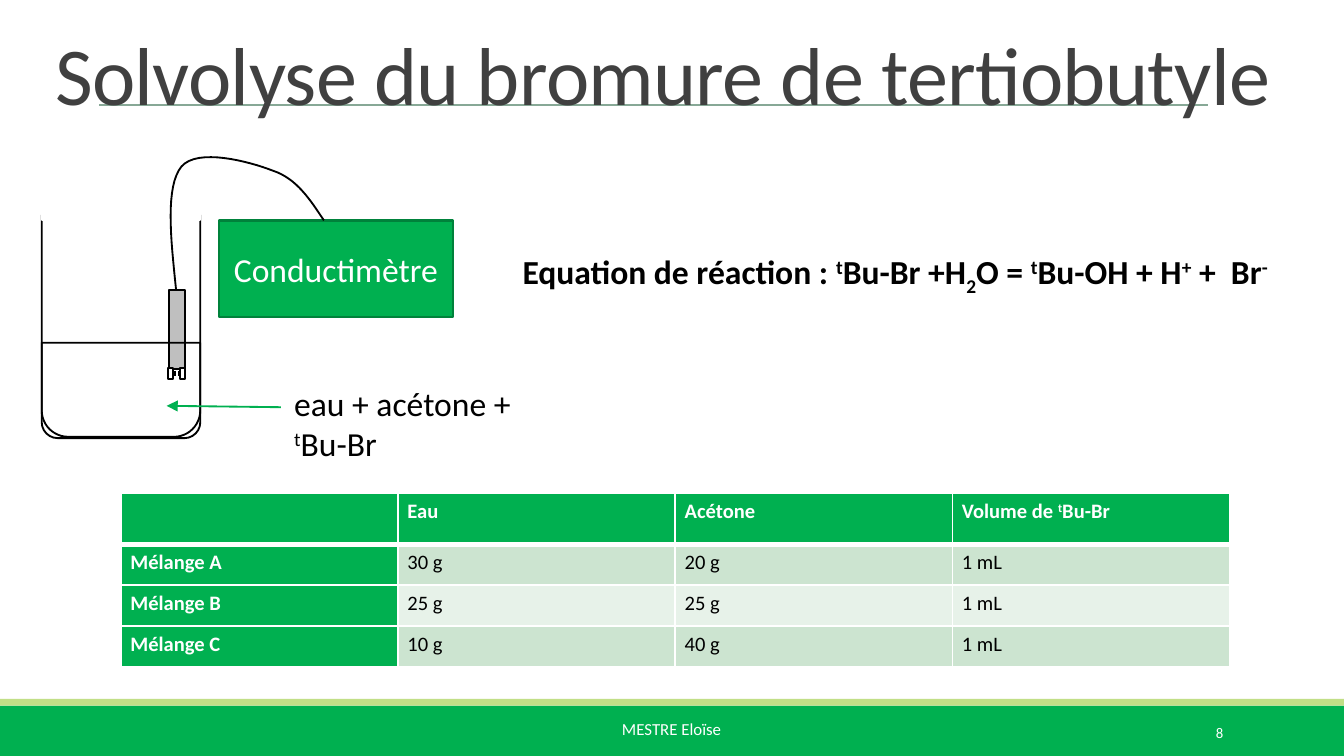
from dataclasses import dataclass
from typing import NamedTuple

from lxml import etree
from pptx import Presentation
from pptx.dml.color import RGBColor
from pptx.enum.shapes import MSO_CONNECTOR, MSO_SHAPE
from pptx.enum.text import MSO_ANCHOR, MSO_AUTO_SIZE, PP_ALIGN
from pptx.oxml.ns import qn
from pptx.util import Inches, Pt

RECTANGLE = MSO_SHAPE.RECTANGLE
VESSEL = MSO_SHAPE.ROUND_2_SAME_RECTANGLE
STRAIGHT = MSO_CONNECTOR.STRAIGHT
LEFT, CENTER, RIGHT = PP_ALIGN.LEFT, PP_ALIGN.CENTER, PP_ALIGN.RIGHT
TOP, MIDDLE, BOTTOM = MSO_ANCHOR.TOP, MSO_ANCHOR.MIDDLE, MSO_ANCHOR.BOTTOM


@dataclass(frozen=True)
class Theme:
    font: str = "Calibri"
    green: str = "00B050"
    dark_green: str = "00823B"
    lime: str = "C1DF87"
    rule: str = "87A896"
    title: str = "404040"
    black: str = "000000"
    white: str = "FFFFFF"
    grey: str = "BFBFBF"
    bands: tuple = ("CCE4D0", "E7F2E9")
    title_size: float = 44
    body_size: float = 18
    table_size: float = 11
    footer_size: float = 9
    number_size: float = 7.9


THEME = Theme()


class Box(NamedTuple):
    left: float
    top: float
    width: float
    height: float

    def lengths(self) -> list:
        return [Inches(value) for value in self]


class Piece(NamedTuple):
    text: str
    baseline: int = 0  # percent: above zero is superscript


TERT = Piece("t", 30)


def write(paragraph, pieces, size: float, color: str, bold=False, spacing=0) -> None:
    for piece in pieces:
        run = paragraph.add_run()
        run.text = piece.text
        run.font.name = THEME.font
        run.font.size = Pt(size)
        run.font.bold = bold
        run.font.color.rgb = RGBColor.from_string(color)
        properties = run._r.get_or_add_rPr()
        if piece.baseline:
            properties.set("baseline", str(piece.baseline * 1000))
        if spacing:
            properties.set("spc", str(round(spacing * 100)))


def add_text(shapes, box: Box, pieces, size, color, bold=False,
             align=LEFT, anchor=TOP, wrap=True) -> None:
    frame = shapes.add_textbox(*box.lengths()).text_frame
    frame.word_wrap = wrap
    frame.vertical_anchor = anchor
    frame.paragraphs[0].alignment = align
    write(frame.paragraphs[0], pieces, size, color, bold)


def style_shape(shape, fill=None, line=None, width: float = 1) -> None:
    shape.shadow.inherit = False
    if fill:
        shape.fill.solid()
        shape.fill.fore_color.rgb = RGBColor.from_string(fill)
    else:
        shape.fill.background()
    if line:
        shape.line.color.rgb = RGBColor.from_string(line)
        shape.line.width = Pt(width)
    else:
        shape.line.fill.background()


def add_shape(shapes, kind, box: Box, fill=None, line=None, width=1, rotation=0):
    shape = shapes.add_shape(kind, *box.lengths())
    shape.rotation = rotation
    style_shape(shape, fill, line, width)
    return shape


def add_line(shapes, start: tuple, end: tuple, color: str, arrow=False) -> None:
    connector = shapes.add_connector(STRAIGHT, *[Inches(v) for v in start + end])
    connector.line.color.rgb = RGBColor.from_string(color)
    connector.line.width = Pt(1)
    if arrow:
        line = connector.line._get_or_add_ln()
        etree.SubElement(line, qn("a:tailEnd")).set("type", "triangle")
    etree.SubElement(connector.element.spPr, qn("a:effectLst"))


def curve_points(start, control_1, control_2, end, steps=16) -> list:
    """Points along a cubic Bezier curve, without its start."""
    points = []
    for step in range(1, steps + 1):
        t = step / steps
        weights = ((1 - t) ** 3, 3 * t * (1 - t) ** 2, 3 * t * t * (1 - t), t ** 3)
        corners = (start, control_1, control_2, end)
        points.append(tuple(
            Inches(sum(w * corner[axis] for w, corner in zip(weights, corners)))
            for axis in (0, 1)))
    return points


def add_cable(shapes, anchors: list) -> None:
    builder = shapes.build_freeform(*[Inches(v) for v in anchors[0]])
    for index in range(0, len(anchors) - 1, 3):
        builder.add_line_segments(curve_points(*anchors[index:index + 4]), close=False)
    style_shape(builder.convert_to_shape(), line=THEME.black)


def set_borders(cell, widths: dict) -> None:
    """Draw white cell borders, listed in schema order before the fill."""
    properties = cell._tc.get_or_add_tcPr()
    for index, (side, width) in enumerate(widths.items()):
        line = etree.Element(qn(f"a:{side}"), w=str(Pt(width)))
        fill = etree.SubElement(line, qn("a:solidFill"))
        etree.SubElement(fill, qn("a:srgbClr")).set("val", THEME.white)
        properties.insert(index, line)


def add_mixtures(shapes, box: Box, rows: list) -> None:
    table = shapes.add_table(len(rows), len(rows[0]), *box.lengths()).table
    table.first_col = True
    for row_index, row in enumerate(rows):
        for column_index, pieces in enumerate(row):
            cell = table.cell(row_index, column_index)
            heading = row_index == 0 or column_index == 0
            fill = THEME.green if heading else THEME.bands[(row_index - 1) % 2]
            cell.fill.solid()
            cell.fill.fore_color.rgb = RGBColor.from_string(fill)
            set_borders(cell, {"lnL": 1, "lnR": 1, "lnT": 3 if row_index == 1 else 1,
                               "lnB": 3 if row_index == 0 else 1})
            cell.margin_left = cell.margin_right = Inches(0.07)
            cell.margin_top = cell.margin_bottom = Inches(0.04)
            color = THEME.white if heading else THEME.black
            write(cell.text_frame.paragraphs[0], pieces, THEME.table_size, color, heading)


def main() -> None:
    presentation = Presentation()
    presentation.slide_width = Inches(10)
    presentation.slide_height = presentation.slide_width * 9 // 16
    slide = presentation.slides.add_slide(presentation.slide_layouts[5])
    shapes = slide.shapes

    # Footer bands, title rule, footer and slide number
    add_shape(shapes, RECTANGLE, Box(0, 5.25, 10, 0.38), THEME.green)
    add_shape(shapes, RECTANGLE, Box(0, 5.2, 10, 0.05), THEME.lime)
    add_line(shapes, (0.74, 0.78), (8.99, 0.78), THEME.rule)
    add_text(shapes, Box(4.53, 5.3, 0.94, 0.45), [Piece("MESTRE Eloïse")],
             THEME.footer_size, THEME.white, wrap=False)
    add_text(shapes, Box(8.12, 5.3, 1.08, 0.3), [Piece("8")],
             THEME.number_size, THEME.white, align=RIGHT, anchor=MIDDLE)

    # Title, brought in front of its rule
    title = shapes.title
    title.left, title.top, title.width, title.height = Box(0.31, 0.2, 10.27, 0.76).lengths()
    title.text_frame.auto_size = MSO_AUTO_SIZE.NONE
    title.text_frame.vertical_anchor = BOTTOM
    paragraph = title.text_frame.paragraphs[0]
    paragraph.alignment, paragraph.line_spacing = LEFT, 0.85
    write(paragraph, [Piece("Solvolyse du bromure de tertiobutyle")],
          THEME.title_size, THEME.title, spacing=-0.4)
    title.element.getparent().append(title.element)

    # Conductivity probe: body and two electrodes
    probe = shapes.add_group_shape().shapes
    add_shape(probe, RECTANGLE, Box(1.02, 2.39, 0.59, 0.12), THEME.grey, THEME.black, rotation=90)
    for plate_left, pin in ((1.25, 1.3), (1.34, 1.33)):
        add_shape(probe, RECTANGLE, Box(plate_left, 2.74, 0.04, 0.08), THEME.white, THEME.black)
        add_line(probe, (pin, 2.76), (pin, 2.8), THEME.black)

    # Beaker: glass, liquid and open rim
    beaker = shapes.add_group_shape().shapes
    for top, height in ((1.6, 1.65), (2.55, 0.71)):
        add_shape(beaker, VESSEL, Box(0.31, top, 1.18, height), line=THEME.black, rotation=180)
    add_shape(beaker, RECTANGLE, Box(0.31, 1.55, 1.18, 0.09), THEME.white, THEME.white)

    # Conductivity meter and its cable
    meter = add_shape(shapes, RECTANGLE, Box(1.63, 1.64, 1.74, 0.72),
                      THEME.green, THEME.dark_green, 1.25)
    frame = meter.text_frame
    frame.margin_left = frame.margin_right = Inches(0.07)
    frame.margin_top = frame.margin_bottom = Inches(0.04)
    frame.vertical_anchor = MIDDLE
    frame.paragraphs[0].alignment = CENTER
    write(frame.paragraphs[0], [Piece("Conductimètre")], THEME.body_size, THEME.white)
    add_cable(shapes, [(2.41, 1.64), (2.31, 1.49), (2.21, 1.33), (2.03, 1.27),
                       (1.85, 1.2), (1.47, 1.1), (1.35, 1.24),
                       (1.23, 1.39), (1.27, 1.77), (1.31, 2.15)])

    # Contents of the beaker
    add_line(shapes, (2.09, 3.03), (1.24, 3.02), THEME.green, arrow=True)
    add_text(shapes, Box(2.09, 2.8, 2.22, 0.34),
             [Piece("eau + acétone + "), TERT, Piece("Bu-Br")], THEME.body_size, THEME.black)

    # Mixtures
    header = [[], [Piece("Eau")], [Piece("Acétone")],
              [Piece("Volume de "), TERT, Piece("Bu-Br")]]
    mixtures = (("A", 30, 20), ("B", 25, 25), ("C", 10, 40))
    rows = [[[Piece(f"Mélange {name}")], [Piece(f"{water} g")],
             [Piece(f"{acetone} g")], [Piece("1 mL")]]
            for name, water, acetone in mixtures]
    add_mixtures(shapes, Box(0.9, 3.67, 8.25, 1.22), [header] + rows)

    # Reaction equation
    equation = [Piece("Equation de réaction : "), TERT, Piece("Bu-Br +H"), Piece("2", -25),
                Piece("O = "), TERT, Piece("Bu-OH + H"), Piece("+", 30),
                Piece(" +  Br"), Piece("-", 30)]
    add_text(shapes, Box(3.79, 1.82, 8.66, 0.34), equation,
             THEME.body_size, THEME.black, bold=True)

    presentation.save("out.pptx")


if __name__ == "__main__":
    main()
